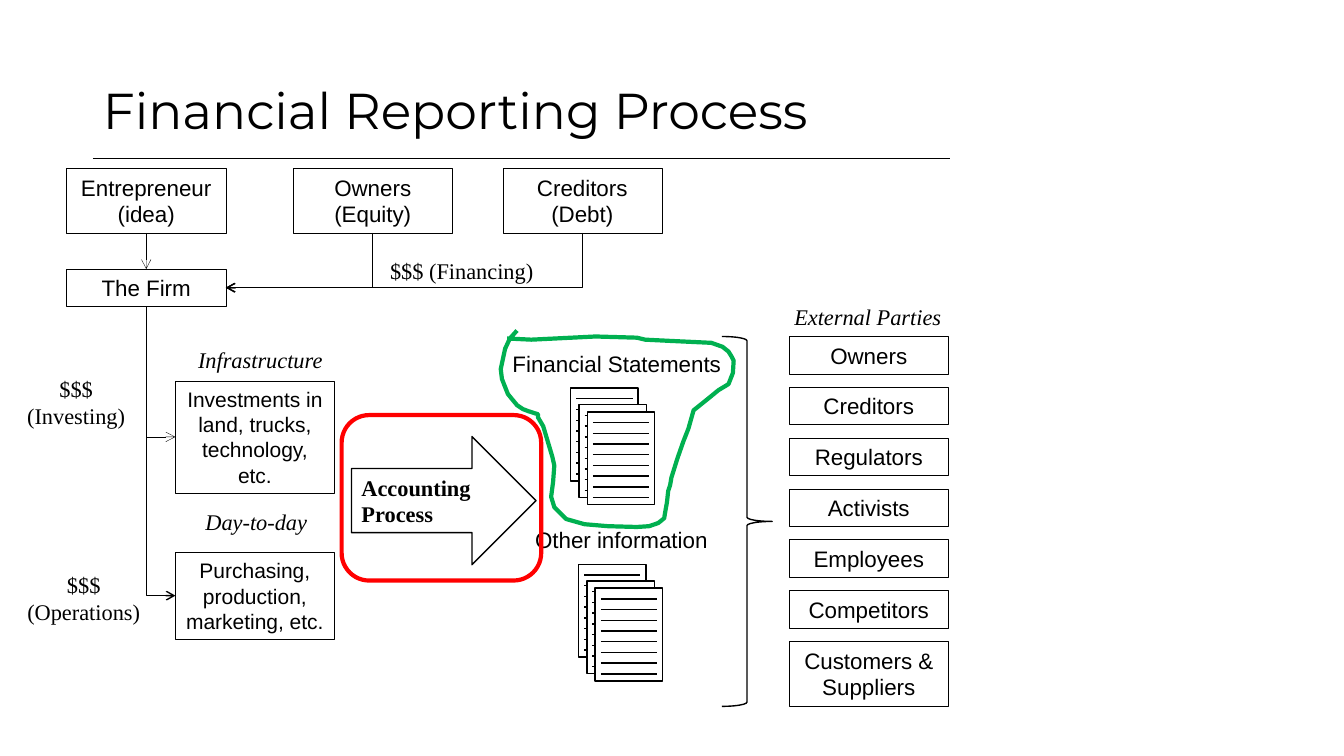
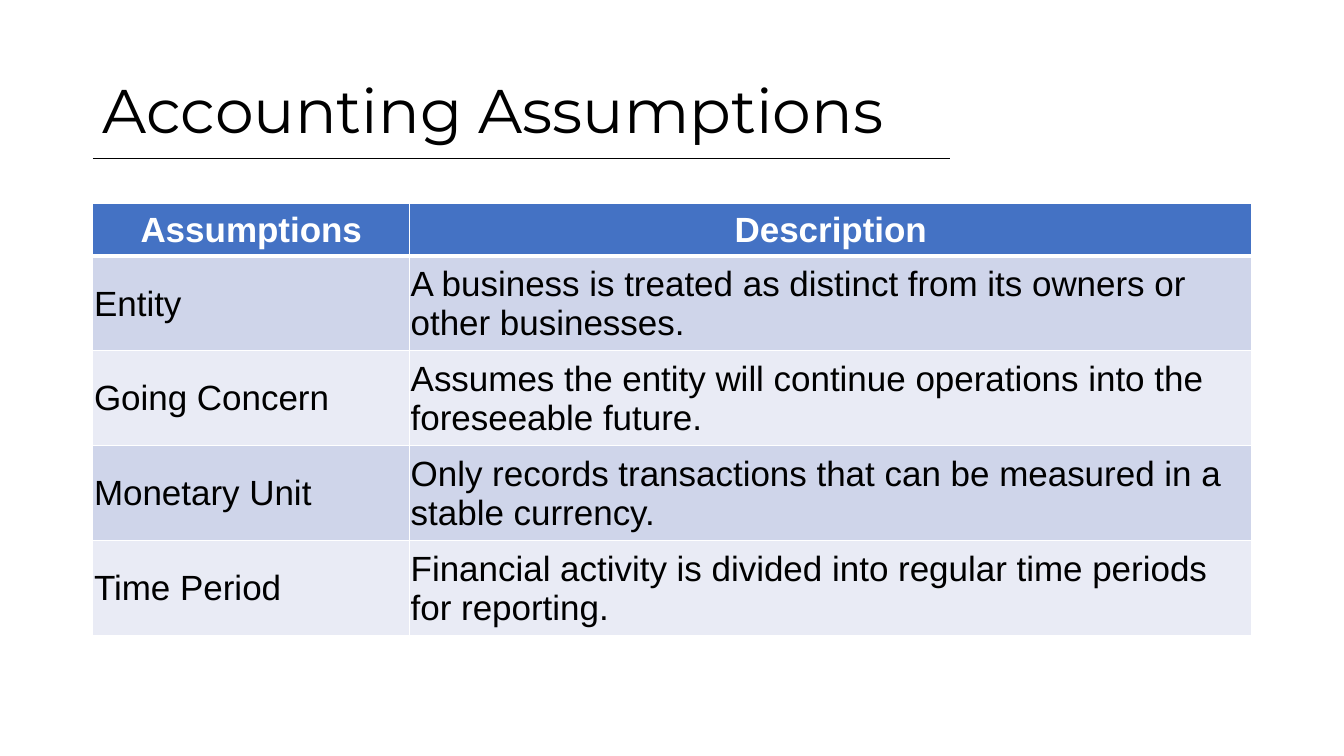
from dataclasses import dataclass

from lxml import etree
from pptx import Presentation
from pptx import util as u
from pptx.dml.color import RGBColor
from pptx.enum import shapes, text
from pptx.oxml.ns import qn


@dataclass(frozen=True)
class Theme:
    ink: str = "000000"
    paper: str = "FFFFFF"
    header: str = "4472C4"
    bands: tuple = ("CFD5EA", "E9EBF5")
    process_mark: str = "FF0000"
    statements_mark: str = "00B050"
    title_font: str = "Montserrat"
    body_font: str = "Arial"
    note_font: str = "Times New Roman"
    body_size: float = 16
    small_size: float = 15
    table_size: float = 25
    hairline: float = 0.25
    thin: float = 1
    thick: float = 3


T = Theme()
SHAPE = shapes.MSO_SHAPE
CENTER, LEFT = text.PP_ALIGN.CENTER, text.PP_ALIGN.LEFT
MIDDLE, TOP = text.MSO_ANCHOR.MIDDLE, text.MSO_ANCHOR.TOP

TITLE_BOX = (2.34, 1.02, 29.21, 3.68)
TITLE_RULE = (2.34, 3.99, 23.93, 3.99)

BOX_WIDTH, ONE_LINE, TWO_LINES = 4.01, 0.94, 1.63
ENTREPRENEUR = "Entrepreneur\n(idea)"
EQUITY = "Owners\n(Equity)"
DEBT = "Creditors\n(Debt)"
FIRM = "The Firm"
INVESTMENTS = "Investments in land, trucks, technology, etc."
PURCHASING = "Purchasing, production, marketing, etc."
FIRM_BOXES = [
    (ENTREPRENEUR, 1.68, 4.24, TWO_LINES, T.body_size),
    (EQUITY, 7.39, 4.24, TWO_LINES, T.body_size),
    (DEBT, 12.67, 4.24, TWO_LINES, T.body_size),
    (FIRM, 1.68, 6.78, ONE_LINE, T.body_size),
    (INVESTMENTS, 4.42, 9.6, 2.82, T.small_size),
    (PURCHASING, 4.42, 13.92, 2.18, T.small_size),
]
FLOWS = [
    (FIRM, INVESTMENTS, T.hairline),
    (EQUITY, FIRM, T.thin),
    (DEBT, FIRM, T.thin),
    (FIRM, PURCHASING, T.thin),
]

EXTERNAL_PARTIES = ["Owners", "Creditors", "Regulators", "Activists",
                    "Employees", "Competitors", "Customers & Suppliers"]
PARTIES_LEFT, PARTIES_TOP, PARTIES_PITCH = 19.89, 8.48, 1.28

MONEY_NOTES = [
    ("$$$\n(Investing)", (0.41, 9.32, 3.02, TWO_LINES), CENTER, MIDDLE),
    ("$$$\n(Operations)", (0.41, 14.25, 3.4, TWO_LINES), CENTER, MIDDLE),
    ("$$$ (Financing)", (9.58, 6.35, 4.17, ONE_LINE), LEFT, TOP),
]
HEADINGS = [
    ("Infrastructure", (4.67, 8.59, 3.78, ONE_LINE)),
    ("Day-to-day", (4.57, 12.67, 3.78, ONE_LINE)),
    ("External Parties", (19.71, 7.52, 4.32, ONE_LINE)),
]
REPORTS = [
    ("Financial Statements", (12.27, 8.69, 6.55, ONE_LINE), (14.38, 9.78)),
    ("Other information", (12.27, 13.13, 6.78, ONE_LINE), (14.58, 14.22)),
]
PAGE_OFFSETS = [(0, 0), (0.21, 0.42), (0.42, 0.6)]
PAGE_SIZE = (1.7, 2.34)
PAGE_LINES, LINE_INSET, LINE_TOP, LINE_PITCH = 8, 0.14, 0.27, 0.27

PROCESS_ARROW = (8.86, 11, 4.65, 3.23)
PROCESS_MARK = (8.61, 10.46, 5.03, 4.17)
BRACE = (18.19, 8.48, 1.27, 9.32)
STATEMENTS_LOOP = [
    (12.78, 8.53), (13.39, 8.56), (14, 8.53), (15.01, 8.48), (16.05, 8.51),
    (16.26, 8.56), (16.87, 8.59), (17.93, 8.64), (18.21, 8.74), (18.36, 8.86),
    (18.44, 8.99), (18.49, 9.09), (18.47, 9.4), (18.36, 9.68), (18.11, 9.83),
    (17.83, 10.06), (17.48, 10.34), (17.35, 10.8), (17.22, 11.13),
    (17.07, 11.56), (16.92, 12.04), (16.89, 12.22), (16.84, 12.37),
    (16.81, 12.65), (16.76, 12.93), (16.74, 13.06), (16.59, 13.18),
    (16.36, 13.26), (16.05, 13.28), (15.32, 13.26), (14.73, 13.21),
    (14.27, 13.08), (13.97, 12.78), (13.89, 12.52), (13.94, 12.14),
    (13.97, 11.73), (13.92, 11.51), (13.69, 10.74), (13.56, 10.52),
    (13.56, 10.44), (13.31, 10.36), (13.18, 10.31), (13.03, 10.21),
    (12.8, 9.93), (12.65, 9.55), (12.62, 9.3), (12.73, 8.79), (12.85, 8.53),
    (13.03, 8.33),
]

ASSUMPTIONS = [
    ("Assumptions", "Description"),
    ("Entity", "A business is treated as distinct from its owners or other businesses."),
    ("Going Concern", "Assumes the entity will continue operations into the foreseeable future."),
    ("Monetary Unit", "Only records transactions that can be measured in a stable currency."),
    ("Time Period", "Financial activity is divided into regular time periods for reporting."),
]
TABLE_CORNER = (2.34, 5.13)
COLUMN_WIDTHS = (7.98, 21.23)
ROW_HEIGHTS = (1.32, 2.39, 2.39, 2.39, 2.39)


def cm(values):
    return [u.Cm(value) for value in values]


def rgb(color):
    return RGBColor.from_string(color)


def write(frame, words, size=T.body_size, font=T.body_font, color=T.ink,
          bold=False, italic=False, align=CENTER, anchor=MIDDLE):
    frame.text = words
    frame.vertical_anchor = anchor
    for paragraph in frame.paragraphs:
        paragraph.alignment = align
        paragraph.font.size = u.Pt(size)
        paragraph.font.name = font
        paragraph.font.color.rgb = rgb(color)
        paragraph.font.bold = bold
        paragraph.font.italic = italic


def fit(frame, wrap=True):
    frame.word_wrap = wrap
    frame.auto_size = text.MSO_AUTO_SIZE.SHAPE_TO_FIT_TEXT


def stroke(part, color, width):
    part.line.color.rgb = rgb(color)
    part.line.width = u.Pt(width)


def outline(part, color=T.ink, width=T.thin, fill=None):
    part.shadow.inherit = False
    if fill:
        part.fill.solid()
        part.fill.fore_color.rgb = rgb(fill)
    else:
        part.fill.background()
    stroke(part, color, width)
    return part


def add_outline(canvas, preset, place, **look):
    return outline(canvas.add_shape(preset, *cm(place)), **look)


def add_box(canvas, words, place, size=T.body_size):
    box = add_outline(canvas, SHAPE.RECTANGLE, place, width=T.hairline, fill=T.paper)
    write(box.text_frame, words, size)
    fit(box.text_frame)
    return box


def add_label(canvas, words, place, wrap=True, **style):
    label = canvas.add_textbox(*cm(place))
    write(label.text_frame, words, **style)
    fit(label.text_frame, wrap)


def add_line(canvas, ends=(0, 0, 0, 0), width=T.thin, arrow=False,
             route=shapes.MSO_CONNECTOR.STRAIGHT):
    line = canvas.add_connector(route, *cm(ends))
    stroke(line, T.ink, width)
    properties = line.element.spPr
    if arrow:
        etree.SubElement(properties.find(qn("a:ln")), qn("a:tailEnd"), type="arrow")
    etree.SubElement(properties, qn("a:effectLst"))
    return line


def add_flow(canvas, source, target, width):
    flow = add_line(canvas, width=width, arrow=True, route=shapes.MSO_CONNECTOR.ELBOW)
    x1, y1 = source.left + source.width // 2, source.top + source.height
    rightward = target.left > x1
    x2 = target.left if rightward else target.left + target.width
    y2 = target.top + target.height // 2
    flow.begin_connect(source, 2)
    flow.end_connect(target, 1 if rightward else 3)
    across, down = abs(x2 - x1), y2 - y1
    flow.left, flow.top = (x1 + x2 - down) // 2, (y1 + y2 - across) // 2
    flow.width, flow.height = down, across
    properties = flow.element.spPr
    properties.find(qn("a:prstGeom")).set("prst", "bentConnector2")
    frame = properties.find(qn("a:xfrm"))
    frame.set("rot", "16200000" if rightward else "5400000")
    frame.set("flipH", "1" if rightward else "0")
    frame.set("flipV", "0")


def add_page(canvas, left, top):
    page = canvas.add_group_shape().shapes
    width, height = PAGE_SIZE
    add_outline(page, SHAPE.RECTANGLE, (left, top, width, height), fill=T.paper)
    for row in range(PAGE_LINES):
        y = top + LINE_TOP + row * LINE_PITCH
        add_line(page, (left + LINE_INSET, y, left + width - LINE_INSET, y))


def add_titled_slide(deck, title, size):
    slide = deck.slides.add_slide(deck.slide_layouts[5])
    heading = slide.shapes.title
    heading.left, heading.top, heading.width, heading.height = cm(TITLE_BOX)
    write(heading.text_frame, title, size, T.title_font, align=LEFT)
    heading.text_frame.word_wrap = True
    heading.text_frame.paragraphs[0].line_spacing = 0.9
    return slide.shapes


def build_process(canvas):
    boxes = {}
    for words, left, top, height, size in FIRM_BOXES:
        boxes[words] = add_box(canvas, words, (left, top, BOX_WIDTH, height), size)
    idea = add_line(canvas, width=T.hairline, arrow=True)
    idea.begin_connect(boxes[ENTREPRENEUR], 2)
    idea.end_connect(boxes[FIRM], 0)
    for source, target, width in FLOWS:
        add_flow(canvas, boxes[source], boxes[target], width)

    for words, place, align, anchor in MONEY_NOTES:
        add_label(canvas, words, place, wrap=False, font=T.note_font, align=align, anchor=anchor)
    for words, place in HEADINGS:
        add_label(canvas, words, place, font=T.note_font, italic=True, anchor=TOP)

    process = add_outline(canvas, SHAPE.RIGHT_ARROW, PROCESS_ARROW)
    write(process.text_frame, "Accounting Process", font=T.note_font, bold=True, align=LEFT)
    fit(process.text_frame)

    for words, place, (left, top) in REPORTS:
        for dx, dy in PAGE_OFFSETS:
            add_page(canvas, left + dx, top + dy)
        add_label(canvas, words, place)

    for row, party in enumerate(EXTERNAL_PARTIES):
        height = TWO_LINES if "&" in party else ONE_LINE
        top = PARTIES_TOP + row * PARTIES_PITCH
        add_box(canvas, party, (PARTIES_LEFT, top, BOX_WIDTH, height))
    add_outline(canvas, SHAPE.RIGHT_BRACE, BRACE)

    add_outline(canvas, SHAPE.ROUNDED_RECTANGLE, PROCESS_MARK, color=T.process_mark, width=T.thick)
    start, *rest = [cm(point) for point in STATEMENTS_LOOP]
    loop = canvas.build_freeform(*start)
    loop.add_line_segments(rest, close=False)
    outline(loop.convert_to_shape(), T.statements_mark, T.thick)


def set_borders(cell, widths):
    for side, width in widths.items():
        border = etree.SubElement(cell._tc.get_or_add_tcPr(), qn(f"a:ln{side}"), w=str(u.Pt(width)))
        fill = etree.SubElement(border, qn("a:solidFill"))
        etree.SubElement(fill, qn("a:srgbClr"), val=T.paper)


def build_assumptions(canvas):
    size = (sum(COLUMN_WIDTHS), sum(ROW_HEIGHTS))
    table = canvas.add_table(len(ASSUMPTIONS), len(COLUMN_WIDTHS), *cm(TABLE_CORNER + size)).table
    table.horz_banding = False
    for column, width in zip(table.columns, COLUMN_WIDTHS):
        column.width = u.Cm(width)
    for number, (row, height, entries) in enumerate(zip(table.rows, ROW_HEIGHTS, ASSUMPTIONS)):
        row.height = u.Cm(height)
        head = number == 0
        for cell, words in zip(row.cells, entries):
            write(cell.text_frame, words, T.table_size, bold=head,
                  color=T.paper if head else T.ink, align=CENTER if head else LEFT)
            cell.vertical_anchor = MIDDLE
            cell.margin_left = cell.margin_right = cell.margin_top = u.Cm(0.03)
            cell.margin_bottom = 0
            set_borders(cell, {"L": T.thin, "R": T.thin,
                               "T": T.thick if number == 1 else T.thin,
                               "B": T.thick if head else T.thin})
            cell.fill.solid()
            cell.fill.fore_color.rgb = rgb(T.header if head else T.bands[(number - 1) % 2])


def main():
    deck = Presentation()
    deck.slide_width, deck.slide_height = cm((33.87, 19.05))
    process = add_titled_slide(deck, "Financial Reporting Process", 36)
    title_rule = add_line(process, TITLE_RULE)
    deck.slide_layouts[5].shapes.element.append(title_rule.element)
    build_process(process)
    build_assumptions(add_titled_slide(deck, "Accounting Assumptions", 44))
    deck.save("out.pptx")


if __name__ == "__main__":
    main()
